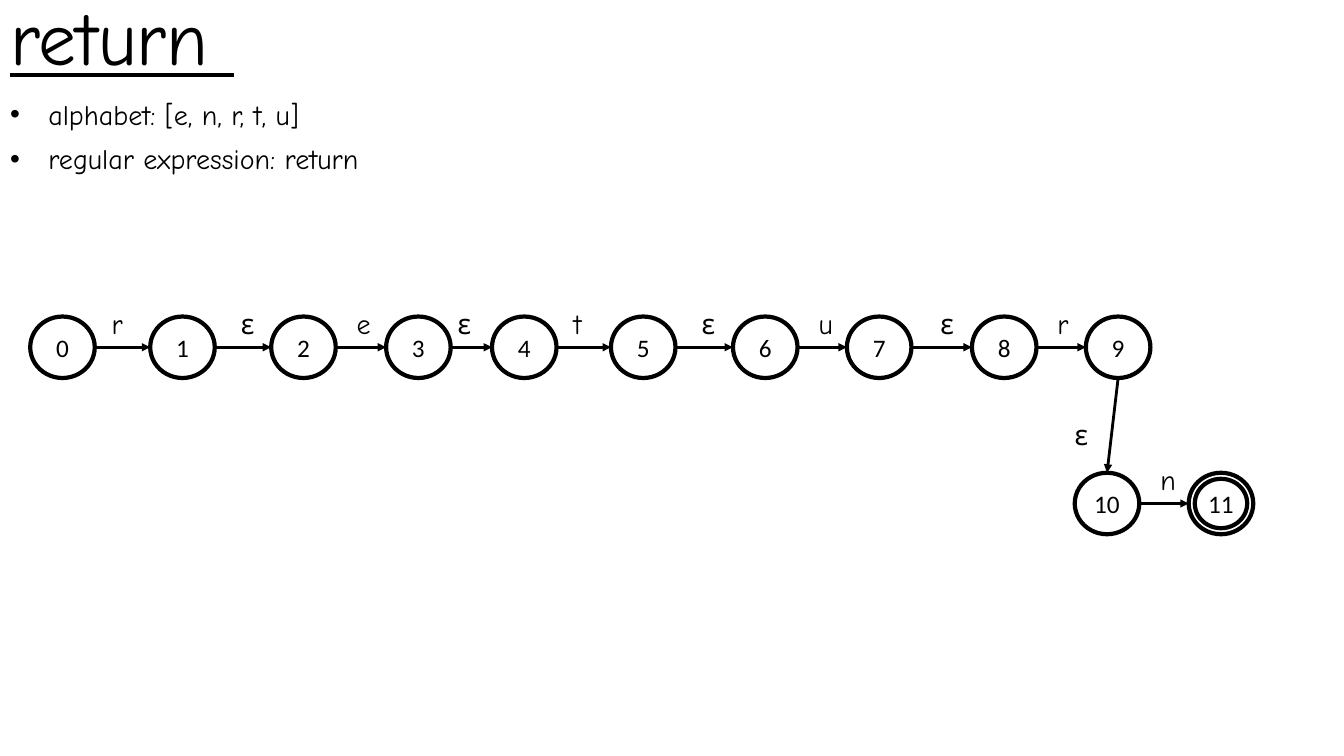
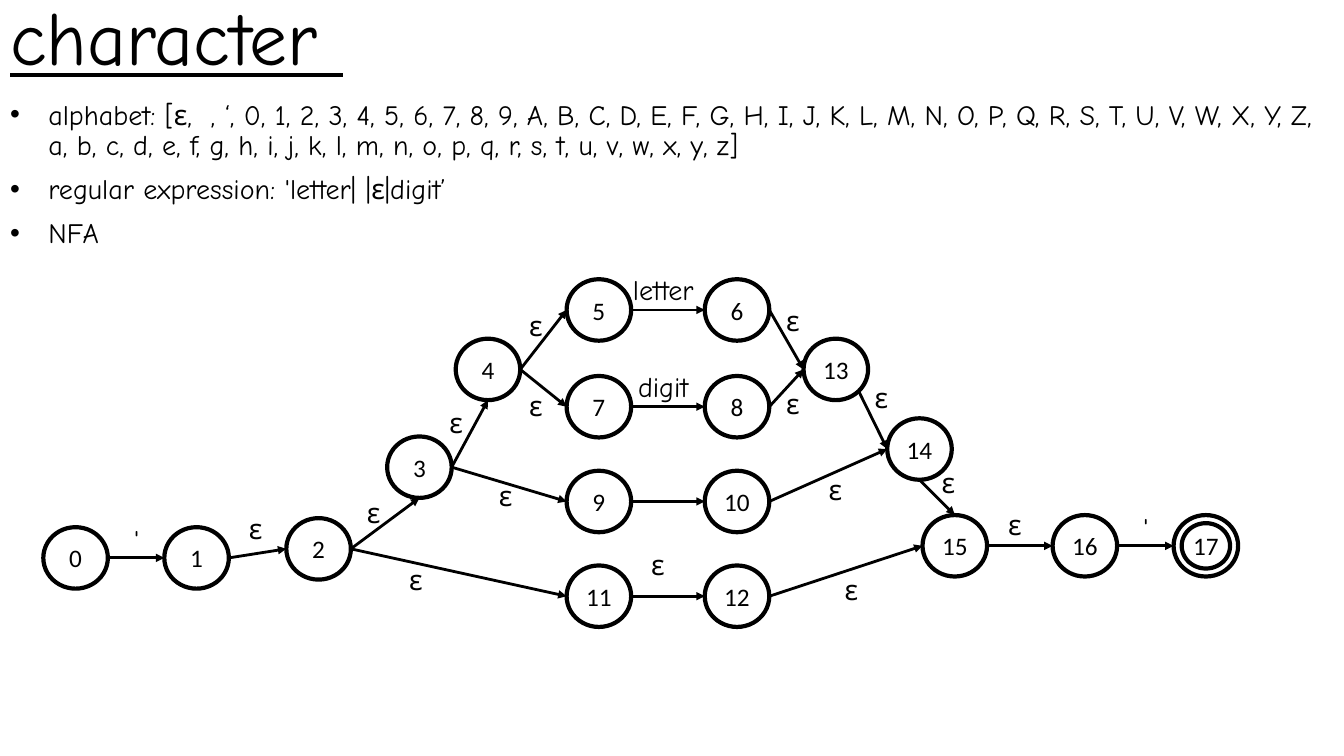
import dataclasses

import lxml.etree
import pptx
import pptx.dml.color
import pptx.enum.shapes
import pptx.enum.text
import pptx.oxml.ns
import pptx.util

Inches = pptx.util.Inches
Pt = pptx.util.Pt
qn = pptx.oxml.ns.qn


@dataclasses.dataclass(frozen=True)
class Theme:
    ink: str = "000000"
    hand_font: str = "Comic Neue"
    state_font: str = "Calibri"
    title_size: int = 54
    text_size: int = 20
    state_size: int = 18
    ring_width: int = 3
    arrow_width: int = 2
    line_spacing: float = 0.9
    space_before: int = 10
    bullet_indent: float = 0.38


@dataclasses.dataclass(frozen=True)
class Box:
    left: float
    top: float
    width: float
    height: float

    def inside(self, left, top, width, height):
        return Box(self.left + left, self.top + top, width, height)

    def inset(self, gap):
        return self.inside(gap, gap, self.width - 2 * gap, self.height - 2 * gap)

    def point(self, across, down):
        return self.left + across * self.width, self.top + down * self.height

    def lengths(self):
        return [Inches(value) for value in dataclasses.astuple(self)]


@dataclasses.dataclass(frozen=True)
class Arrow:
    """A transition; its label is offset from the point where it starts."""
    start: int
    end: int
    label: str = ""
    offset: tuple = (0, 0)
    leave: str = "right"
    enter: str = "left"


@dataclasses.dataclass(frozen=True)
class Automaton:
    """States are given by their top left corners; the last one accepts."""
    box: Box
    states: list
    arrows: list
    ring_gap: float


THEME = Theme()
INK = pptx.dml.color.RGBColor.from_string(THEME.ink)
STATE_WIDTH, STATE_HEIGHT = 0.64, 0.61
LETTER_WIDTH, WORD_WIDTH, LABEL_HEIGHT = 0.6, 1, 0.61

# Connection site of an ellipse: number, share of width, share of height
SITES = {
    "top": (0, 0.5, 0),
    "left": (2, 0, 0.5),
    "bottom": (4, 0.5, 1),
    "bottom right": (5, 0.854, 0.854),
    "right": (6, 1, 0.5),
}

RETURN_LEFTS = [0, 1.19, 2.39, 3.53, 4.58, 5.76, 6.97, 8.1, 9.34, 10.47]
RETURN_LABELS = [
    ("r", 0.07), ("ε", 0.16), ("e", 0.11), ("ε", -0.03), ("t", 0.07),
    ("ε", 0.16), ("u", 0.11), ("ε", 0.19), ("r", 0.11),
]
RETURN = Automaton(
    box=Box(0.3, 3.14, 12.13, 2.16),
    states=[(left, 0) for left in RETURN_LEFTS] + [(10.36, 1.55), (11.49, 1.55)],
    arrows=[
        Arrow(number, number + 1, label, (shift, -0.42))
        for number, (label, shift) in enumerate(RETURN_LABELS)
    ] + [
        Arrow(9, 10, "ε", (-0.53, 0.38), "bottom", "top"),
        Arrow(10, 11, "n", (0.11, -0.42)),
    ],
    ring_gap=0.06,
)

ROW_TOPS = [0, 0.96, 1.9, 2.84]
CHARACTER = Automaton(
    box=Box(0.43, 2.77, 11.85, 3.45),
    states=[(0, 2.46), (1.2, 2.46), (2.41, 2.37), (3.41, 1.56), (4.09, 0.59)]
    + [(left, top) for top in ROW_TOPS for left in (5.19, 6.56)]
    + [(7.54, 0.59), (8.37, 1.38), (8.72, 2.34), (10.01, 2.34), (11.21, 2.34)],
    arrows=[
        Arrow(0, 1, "'", (0.16, -0.36)),
        Arrow(1, 2, "ε", (0.1, -0.47)),
        Arrow(2, 3, "ε", (0.06, -0.54), enter="bottom"),
        Arrow(2, 11, "ε", (0.48, 0.12)),
        Arrow(3, 4, "ε", (-0.12, -0.62), enter="bottom"),
        Arrow(3, 9, "ε", (0.37, 0.1)),
        Arrow(4, 5, "ε", (-0.01, -0.62)),
        Arrow(4, 7, "ε", (-0.01, 0.18)),
        Arrow(5, 6, "letter", (-0.08, -0.38)),
        Arrow(7, 8, "digit", (-0.03, -0.38)),
        Arrow(9, 10),
        Arrow(11, 12, "ε", (0.1, -0.49)),
        Arrow(6, 13, "ε", (0.07, -0.08)),
        Arrow(8, 13, "ε", (0.07, -0.21)),
        Arrow(10, 14, "ε", (0.49, -0.3)),
        Arrow(12, 15, "ε", (0.65, -0.25)),
        Arrow(13, 14, "ε", (0.06, -0.12), leave="bottom right"),
        Arrow(14, 15, "ε", (0.12, -0.15), "bottom", "top"),
        Arrow(15, 16, "ε", (0.11, -0.39)),
        Arrow(16, 17, "'", (0.16, -0.36)),
    ],
    ring_gap=0.08,
)


def place(shape, box):
    shape.left, shape.top, shape.width, shape.height = box.lengths()


def format_para(para, font, size, align="LEFT", underline=None):
    para.alignment = getattr(pptx.enum.text.PP_ALIGN, align)
    for span in para.runs:
        span.font.name = font
        span.font.size = Pt(size)
        span.font.color.rgb = INK
        span.font.underline = underline


def space_para(para):
    para.line_spacing = THEME.line_spacing
    para.space_before = Pt(THEME.space_before)


def add_bullet(para):
    props = para._p.get_or_add_pPr()
    props.set("marL", str(Inches(THEME.bullet_indent)))
    props.set("indent", str(Inches(-THEME.bullet_indent)))
    colour = lxml.etree.SubElement(props, qn("a:buClr"))
    lxml.etree.SubElement(colour, qn("a:srgbClr"), val=THEME.ink)
    lxml.etree.SubElement(props, qn("a:buFont"), typeface="Arial")
    lxml.etree.SubElement(props, qn("a:buChar"), char="•")


def fill_title(title, text, box):
    place(title, box)
    frame = title.text_frame
    frame.text = text
    frame.auto_size = pptx.enum.text.MSO_AUTO_SIZE.NONE
    frame.vertical_anchor = pptx.enum.text.MSO_ANCHOR.BOTTOM
    para = frame.paragraphs[0]
    para.line_spacing = THEME.line_spacing
    format_para(para, THEME.hand_font, THEME.title_size, underline=True)


def fill_list(body, items, box):
    place(body, box)
    frame = body.text_frame
    frame.text = "\n".join(items)
    frame.auto_size = pptx.enum.text.MSO_AUTO_SIZE.NONE
    frame.vertical_anchor = pptx.enum.text.MSO_ANCHOR.TOP
    for para in frame.paragraphs:
        space_para(para)
        add_bullet(para)
        format_para(para, THEME.hand_font, THEME.text_size)


def add_ring(page, box):
    ring = page.shapes.add_shape(pptx.enum.shapes.MSO_SHAPE.OVAL, *box.lengths())
    ring.shadow.inherit = False
    ring.fill.background()
    ring.line.color.rgb = INK
    ring.line.width = Pt(THEME.ring_width)
    return ring


def add_state(page, name, box):
    state = add_ring(page, box)
    frame = state.text_frame
    frame.margin_left = frame.margin_right = 0
    frame.margin_top = frame.margin_bottom = 0
    frame.vertical_anchor = pptx.enum.text.MSO_ANCHOR.MIDDLE
    frame.text = name
    format_para(frame.paragraphs[0], THEME.state_font, THEME.state_size, "CENTER")
    return state


def add_label(page, text, box):
    frame = page.shapes.add_textbox(*box.lengths()).text_frame
    frame.word_wrap = True
    frame.text = text
    space_para(frame.paragraphs[0])
    format_para(frame.paragraphs[0], THEME.hand_font, THEME.text_size)


def add_arrow(page, start, end, glue):
    """Draw an arrow between two points; glue lists (tag, state, site)."""
    line = page.shapes.add_connector(
        pptx.enum.shapes.MSO_CONNECTOR.STRAIGHT,
        *[Inches(value) for value in start + end])
    line.line.color.rgb = INK
    line.line.width = Pt(THEME.arrow_width)
    outline = line.line._get_or_add_ln()
    lxml.etree.SubElement(outline, qn("a:tailEnd"), type="triangle")
    lxml.etree.SubElement(line.element.spPr, qn("a:effectLst"))
    links = line.element.find(".//" + qn("p:cNvCxnSpPr"))
    for tag, state, site in glue:
        lxml.etree.SubElement(
            links, qn(tag), id=str(state.shape_id), idx=str(site))


def add_automaton(page, automaton):
    boxes = [
        automaton.box.inside(left, top, STATE_WIDTH, STATE_HEIGHT)
        for left, top in automaton.states
    ]
    add_ring(page, boxes[-1].inset(automaton.ring_gap))
    states = [
        add_state(page, str(number), box) for number, box in enumerate(boxes)
    ]
    for arrow in automaton.arrows:
        leave_site, *leave_share = SITES[arrow.leave]
        enter_site, *enter_share = SITES[arrow.enter]
        start = boxes[arrow.start].point(*leave_share)
        end = boxes[arrow.end].point(*enter_share)
        add_arrow(page, start, end, [
            ("a:stCxn", states[arrow.start], leave_site),
            ("a:endCxn", states[arrow.end], enter_site),
        ])
        if arrow.label:
            width = WORD_WIDTH if len(arrow.label) > 1 else LETTER_WIDTH
            add_label(page, arrow.label, Box(
                start[0] + arrow.offset[0], start[1] + arrow.offset[1],
                width, LABEL_HEIGHT))


def add_page(deck, title, items, list_height, automaton):
    page = deck.slides.add_slide(deck.slide_layouts[0])
    fill_title(page.shapes.title, title, Box(0, 0, 10, 0.86))
    fill_list(page.placeholders[1], items, Box(0, 0.95, 13.33, list_height))
    add_automaton(page, automaton)


def main():
    deck = pptx.Presentation()
    deck.slide_width, deck.slide_height = Inches(13.33), Inches(7.5)
    add_page(deck, "return ", [
        "alphabet: [e, n, r, t, u]",
        "regular expression: return",
    ], 0.85, RETURN)
    add_page(deck, "character ", [
        "alphabet: [ε,  , ‘, 0, 1, 2, 3, 4, 5, 6, 7, 8, 9, A, B, C, D, E, F, G, "
        "H, I, J, K, L, M, N, O, P, Q, R, S, T, U, V, W, X, Y, Z, a, b, c, d, e, "
        "f, g, h, i, j, k, l, m, n, o, p, q, r, s, t, u, v, w, x, y, z]",
        "regular expression: 'letter| |ε|digit’",
        "NFA",
    ], 1.49, CHARACTER)
    deck.save("out.pptx")


if __name__ == "__main__":
    main()
